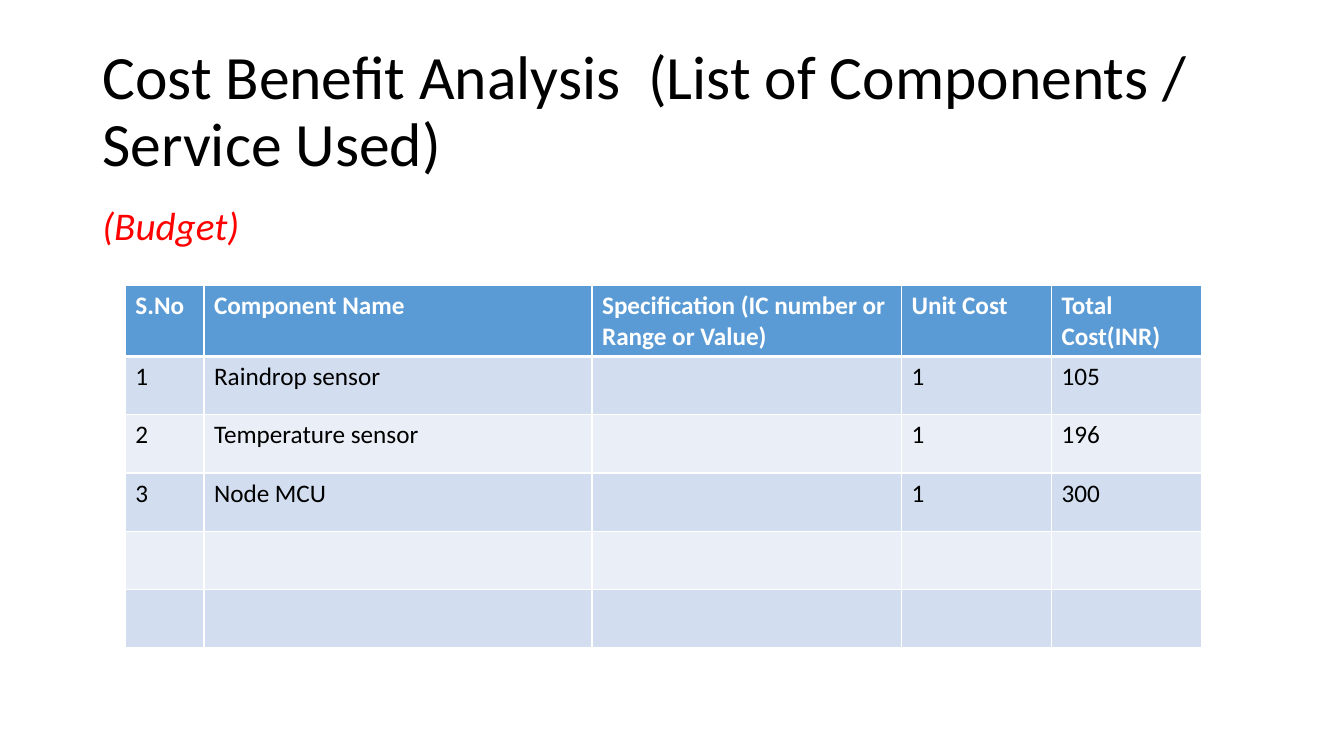
import lxml.etree
import pptx
import pptx.dml.color
import pptx.enum.text
import pptx.oxml.ns
import pptx.util

Cm = pptx.util.Cm
Pt = pptx.util.Pt
ANCHOR = pptx.enum.text.MSO_ANCHOR

HEAD = ["S.No", "Component Name", "Specification (IC number or Range or Value)",
        "Unit Cost", "Total Cost(INR)"]
PARTS = [
    ["1", "Raindrop sensor", "", "1", "105"],
    ["2", "Temperature sensor", "", "1", "196"],
    ["3", "Node MCU", "", "1", "300"],
    [""] * 5,
    [""] * 5,
]
WIDTHS = [1.98, 9.78, 7.8, 3.78, 3.78]
HEAD_H, ROW_H = 1.78, 1.47


def color(code):
    return pptx.dml.color.RGBColor.from_string(code)


def add_run(para, text, size, ink, bold=False, italic=False):
    run = para.add_run()
    run.text = text
    font = run.font
    font.name = "Calibri"
    font.size = Pt(size)
    font.bold = bold
    font.italic = italic
    font.color.rgb = color(ink)


def add_text(slide, box, text, size, ink, anchor, italic=False):
    frame = slide.shapes.add_textbox(*map(Cm, box)).text_frame
    frame.word_wrap = True
    frame.vertical_anchor = anchor
    para = frame.paragraphs[0]
    para.line_spacing = 0.9
    add_run(para, text, size, ink, italic=italic)


def add_edge(cell, side, width):
    """Draw a white border on one side (L, R, T or B) of a cell."""
    qn = pptx.oxml.ns.qn
    props = cell._tc.get_or_add_tcPr()
    line = lxml.etree.SubElement(props, qn(f"a:ln{side}"), w=str(Pt(width)))
    fill = lxml.etree.SubElement(line, qn("a:solidFill"))
    lxml.etree.SubElement(fill, qn("a:srgbClr"), val="FFFFFF")


def add_budget(slide, box):
    rows = [HEAD] + PARTS
    table = slide.shapes.add_table(len(rows), len(HEAD), *map(Cm, box)).table
    for col, width in zip(table.columns, WIDTHS):
        col.width = Cm(width)
    for r, row in enumerate(rows):
        head = r == 0
        table.rows[r].height = Cm(HEAD_H if head else ROW_H)
        back = "5B9BD5" if head else ("EAEFF7", "D2DEEF")[r % 2]
        for c, text in enumerate(row):
            cell = table.cell(r, c)
            edges = {"L": 1, "R": 1, "T": 3 if r == 1 else 1, "B": 3 if head else 1}
            for side, width in edges.items():
                add_edge(cell, side, width)
            cell.fill.solid()
            cell.fill.fore_color.rgb = color(back)
            if text:
                add_run(cell.text_frame.paragraphs[0], text, 18,
                        "FFFFFF" if head else "000000", bold=head)


def add_slide(deck):
    slide = deck.slides.add_slide(deck.slide_layouts[6])
    add_text(slide, (2.33, 1.01, 29.21, 3.68),
             "Cost Benefit Analysis  (List of Components / Service Used)",
             44, "000000", ANCHOR.MIDDLE)
    add_text(slide, (2.33, 5.07, 29.21, 12.09), "(Budget)",
             28, "FF0000", ANCHOR.TOP, italic=True)
    add_budget(slide, (3.16, 7.2, sum(WIDTHS), HEAD_H + len(PARTS) * ROW_H))


def main():
    deck = pptx.Presentation()
    deck.slide_width = Cm(33.87)
    deck.slide_height = Cm(19.05)
    add_slide(deck)
    deck.save("out.pptx")


if __name__ == "__main__":
    main()
